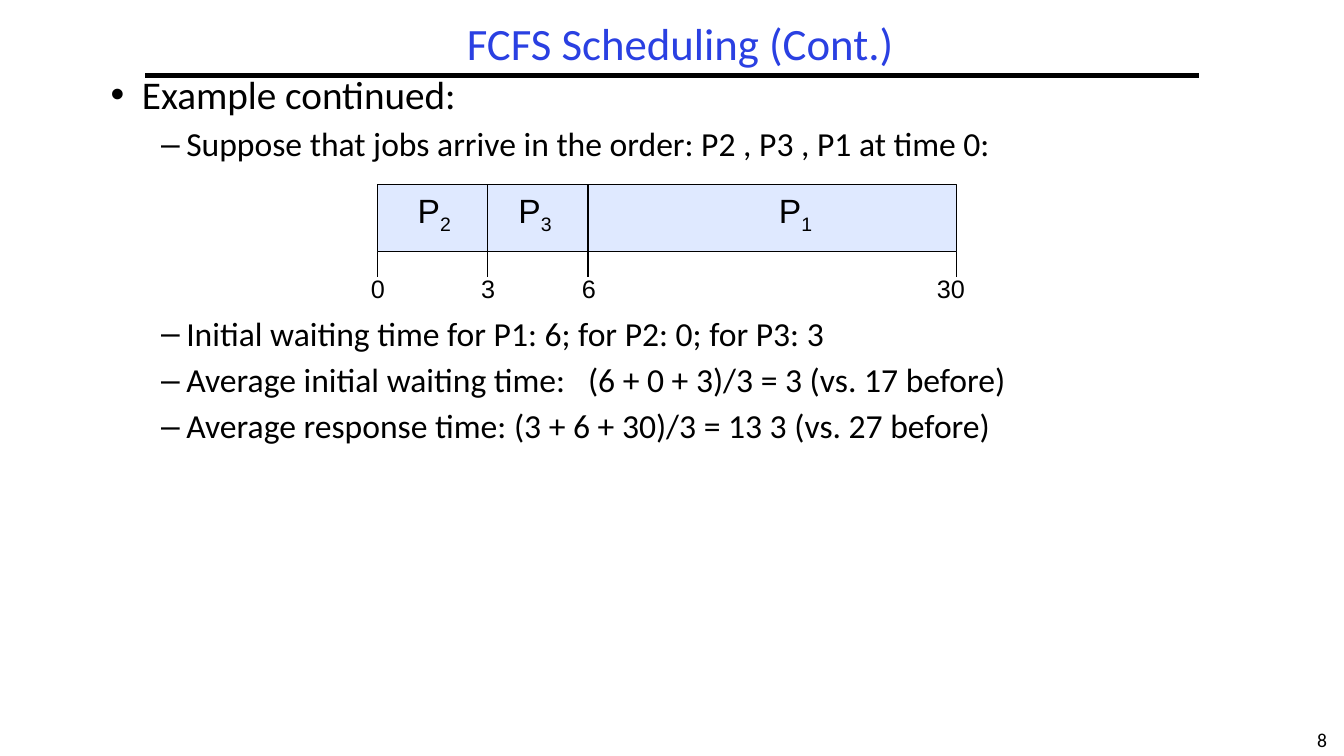
from dataclasses import dataclass

from lxml.etree import SubElement
from pptx import Presentation
from pptx.dml.color import RGBColor
from pptx.enum.shapes import MSO_CONNECTOR, MSO_SHAPE
from pptx.enum.text import MSO_ANCHOR, PP_ALIGN
from pptx.oxml.ns import qn
from pptx.util import Inches, Pt

SLIDE_WIDTH, SLIDE_HEIGHT = Inches(13.333), Inches(7.5)
COLUMNS, ROWS = 16, 9


@dataclass(frozen=True)
class Theme:
    ink: RGBColor = RGBColor(0x00, 0x00, 0x00)
    title: RGBColor = RGBColor(0x2A, 0x40, 0xE2)
    bar: RGBColor = RGBColor(0xDF, 0xE9, 0xFF)
    text_font: str = "Calibri"
    chart_font: str = "Arial"
    title_size: int = 32
    bullet_size: int = 28
    dash_size: int = 24
    job_size: int = 24
    time_size: int = 18
    number_size: int = 14
    rule_width: float = 3
    line_width: float = 0.75
    line_spacing: float = 0.9


THEME = Theme()

# Space before in points, then the text; the second point leaves room for the chart.
POINTS = [
    (7.2, ["Suppose that jobs arrive in the order: P2 , P3 , P1 at time 0:"]),
    (109.2, ["Initial waiting time for P1: 6; for P2: 0; for P3: 3"]),
    (7.2, ["Average initial waiting time:", " ", "(6 + 0 + 3)/3 = 3 (vs. 17 before)"]),
    (7.2, ["Average response time: (3 + 6 + 30)/3 = 13 3 (vs. 27 before)"]),
]
WIDE_SPACE = 10.8

# Time, column of its tick, column of its label's centre
TIMES = [("0", 4.49, 4.5), ("3", 5.8, 5.81), ("6", 7, 7.01), ("30", 11.39, 11.32)]
# Job number, column of its label's centre
JOBS = [("2", 5.17), ("3", 6.37), ("1", 9.47)]
BAR_TOP, BAR_BOTTOM, TICK_BOTTOM = 2.2, 3, 3.3


def x(columns):
    return round(SLIDE_WIDTH * columns / COLUMNS)


def y(rows):
    return round(SLIDE_HEIGHT * rows / ROWS)


def add_run(paragraph, text, size, font=THEME.text_font, color=THEME.ink):
    run = paragraph.add_run()
    run.text = text
    run.font.size = Pt(size)
    run.font.name = font
    run.font.color.rgb = color
    return run


def add_text_box(slide, left, top, width, height, wrap=False):
    box = slide.shapes.add_textbox(x(left), y(top), x(width), y(height))
    box.text_frame.word_wrap = wrap
    return box.text_frame


def add_label(slide, center, top, width, height):
    """Add a centred text box and return its paragraph."""
    frame = add_text_box(slide, center - width / 2, top, width, height)
    frame.vertical_anchor = MSO_ANCHOR.MIDDLE
    paragraph = frame.paragraphs[0]
    paragraph.alignment = PP_ALIGN.CENTER
    return paragraph


def add_line(slide, start, end, width):
    line = slide.shapes.add_connector(
        MSO_CONNECTOR.STRAIGHT, x(start[0]), y(start[1]), x(end[0]), y(end[1]))
    line.line.color.rgb = THEME.ink
    line.line.width = Pt(width)
    SubElement(line._element.spPr, qn("a:effectLst"))


def set_bullet(paragraph, mark, left, hanging):
    properties = paragraph._p.get_or_add_pPr()
    properties.set("marL", str(Inches(left)))
    properties.set("indent", str(-Inches(hanging)))
    SubElement(properties, qn("a:buFont")).set("typeface", "Arial")
    SubElement(properties, qn("a:buChar")).set("char", mark)


def add_title(slide, text):
    title = slide.shapes.title
    title.left, title.top, title.width, title.height = x(3.4), y(0.2), x(9.4), y(0.7)
    frame = title.text_frame
    frame.vertical_anchor = MSO_ANCHOR.MIDDLE
    paragraph = frame.paragraphs[0]
    paragraph.alignment = PP_ALIGN.CENTER
    paragraph.line_spacing = THEME.line_spacing
    add_run(paragraph, text, THEME.title_size, color=THEME.title)


def add_points(slide, heading, points):
    frame = add_text_box(slide, 1.2, 0.84, 13.5, 8.06, wrap=True)
    paragraph = frame.paragraphs[0]
    paragraph.line_spacing = THEME.line_spacing
    set_bullet(paragraph, "•", 0.31, 0.31)
    add_run(paragraph, heading, THEME.bullet_size)
    for space_before, parts in points:
        paragraph = frame.add_paragraph()
        paragraph.level = 1
        paragraph.line_spacing = THEME.line_spacing
        paragraph.space_before = Pt(space_before)
        set_bullet(paragraph, "–", 0.75, 0.25)
        for part in parts:
            run = add_run(paragraph, part, THEME.dash_size)
            if part == " ":
                run._r.get_or_add_rPr().set("spc", str(round(WIDE_SPACE * 100)))


def add_schedule(slide):
    """Draw the bar of jobs with a tick and a label for each time."""
    first, last = TIMES[0][1], TIMES[-1][1]
    bar = slide.shapes.add_shape(
        MSO_SHAPE.RECTANGLE, x(first), y(BAR_TOP), x(last - first), y(BAR_BOTTOM - BAR_TOP))
    bar.shadow.inherit = False
    bar.fill.solid()
    bar.fill.fore_color.rgb = THEME.bar
    bar.line.color.rgb = THEME.ink
    bar.line.width = Pt(THEME.line_width)

    for number, center in JOBS:
        paragraph = add_label(slide, center, 2.23, 0.66, 0.61)
        add_run(paragraph, "P", THEME.job_size, THEME.chart_font)
        subscript = add_run(paragraph, number, THEME.job_size, THEME.chart_font)
        subscript._r.get_or_add_rPr().set("baseline", "-25000")

    for time, column, center in TIMES:
        top = BAR_BOTTOM if column in (first, last) else BAR_TOP
        add_line(slide, (column, top), (column, TICK_BOTTOM), THEME.line_width)
        paragraph = add_label(slide, center, 3.2, 0.58, 0.48)
        add_run(paragraph, time, THEME.time_size, THEME.chart_font)


def main():
    presentation = Presentation()
    presentation.slide_width, presentation.slide_height = SLIDE_WIDTH, SLIDE_HEIGHT
    slide = presentation.slides.add_slide(presentation.slide_layouts.get_by_name("Title Only"))
    add_line(slide, (1.73, 0.9), (14.27, 0.9), THEME.rule_width)
    add_title(slide, "FCFS Scheduling (Cont.)")
    add_points(slide, "Example continued:", POINTS)
    add_schedule(slide)
    add_run(add_label(slide, 15.74, 8.6, 0.52, 0.4), "8", THEME.number_size)
    presentation.save("out.pptx")


if __name__ == "__main__":
    main()
